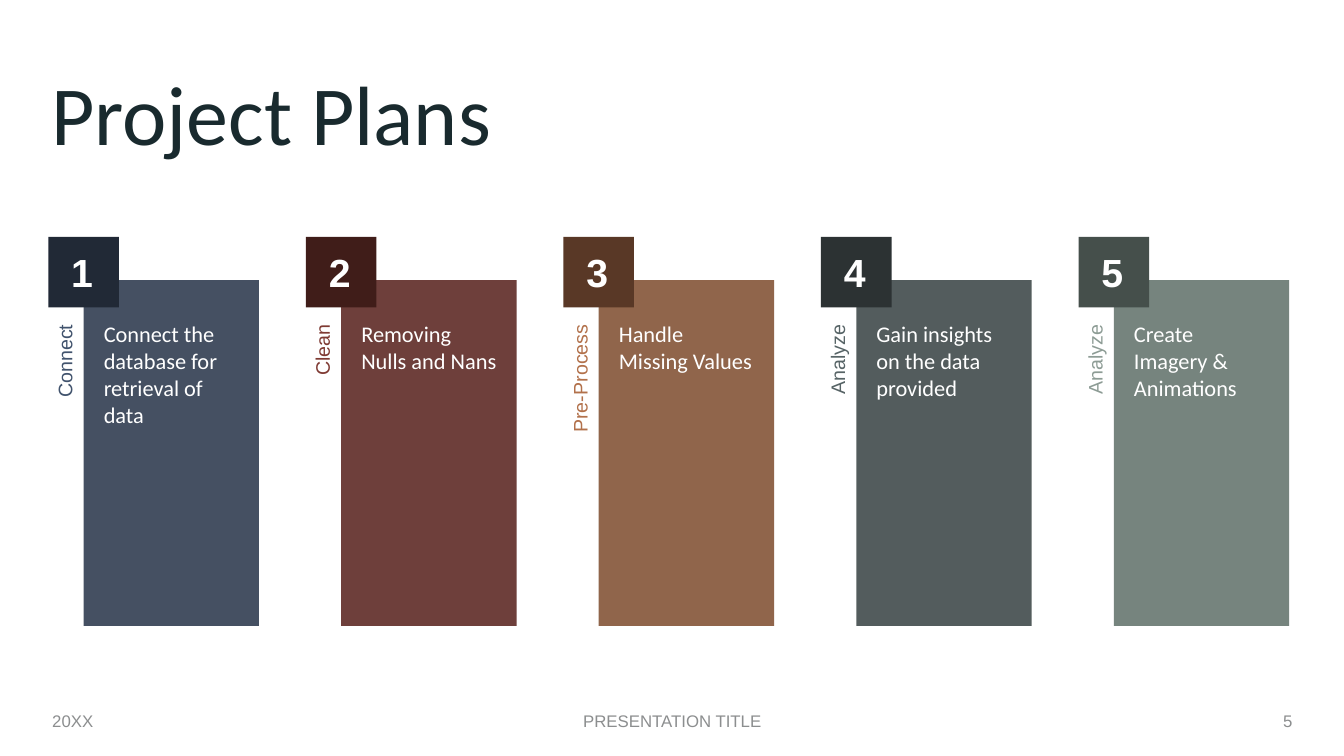
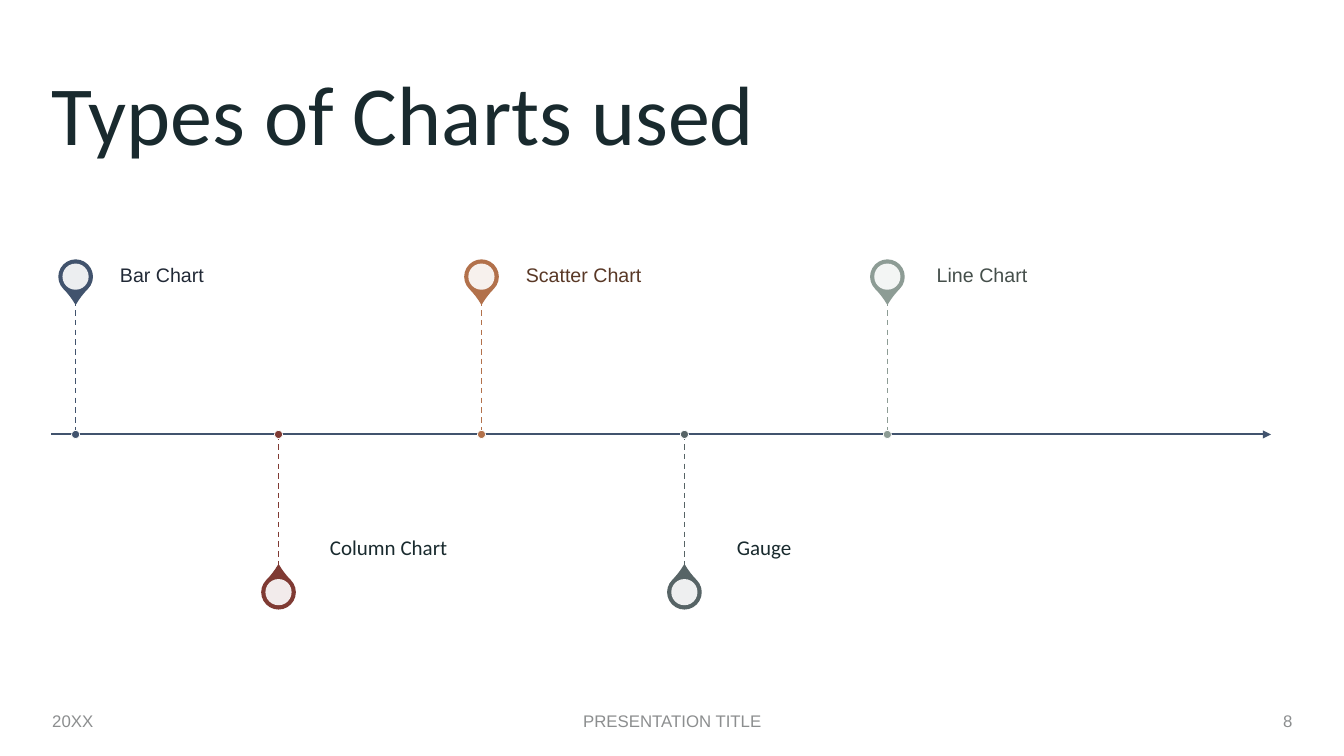
import lxml.etree
import pptx
import pptx.dml.color
import pptx.enum.dml
import pptx.enum.shapes
import pptx.enum.text
import pptx.oxml.ns
import pptx.util

COLUMNS, ROWS = 133.33, 75
CELL = pptx.util.Inches(0.1)

COLORS = {
    "title": "192A2E",
    "footer": "8C8E8F",
    "white": "FFFFFF",
    "navy": "41536D",
    "navy panel": "313E52",
    "navy dark": "212936",
    "red": "7F3A33",
    "red panel": "5F2B26",
    "red dark": "401D19",
    "copper": "B2714B",
    "copper panel": "855538",
    "copper dark": "593826",
    "slate": "576466",
    "slate panel": "414B4C",
    "slate dark": "2C3233",
    "sage": "8D9C95",
    "sage panel": "687770",
    "sage dark": "454F4B",
}

SHAPES = pptx.enum.shapes.MSO_SHAPE
ALIGN = pptx.enum.text.PP_ALIGN
ANCHOR = pptx.enum.text.MSO_ANCHOR

STEPS = [
    ("navy", "Connect", "Connect the database for retrieval of data"),
    ("red", "Clean", "Removing Nulls and Nans"),
    ("copper", "Pre-Process", "Handle Missing Values"),
    ("slate", "Analyze", "Gain insights on the data provided"),
    ("sage", "Analyze", "Create Imagery & Animations"),
]

CHART_TYPES = [
    ("navy", "Bar Chart", 4.4),
    ("red", "Column Chart", 5.1),
    ("copper", "Scatter Chart", 4.4),
    ("slate", "Gauge", 5.2),
    ("sage", "Line Chart", 4.9),
]


def cells(*counts):
    return [round(count * CELL) for count in counts]


def rgb(name):
    return pptx.dml.color.RGBColor.from_string(COLORS[name])


def add_tag(parent, tag, **attributes):
    return lxml.etree.SubElement(parent, pptx.oxml.ns.qn(tag), **attributes)


def write_text(page, text, box=None, shape=None, size=14, font="Arial", color="white",
               bold=False, align=ALIGN.LEFT, anchor=ANCHOR.TOP,
               insets=(1, 0.5, 1, 0.5), spacing=1.0, rotation=0):
    if shape is None:
        shape = page.shapes.add_textbox(*cells(*box))
        shape.rotation = rotation
    frame = shape.text_frame
    frame.word_wrap = True
    frame.vertical_anchor = anchor
    (frame.margin_left, frame.margin_top,
     frame.margin_right, frame.margin_bottom) = cells(*insets)
    para = frame.paragraphs[0]
    para.alignment = align
    para.line_spacing = spacing
    span = para.add_run()
    span.text = text
    span.font.size = pptx.util.Pt(size)
    span.font.name = font
    span.font.bold = bold
    span.font.color.rgb = rgb(color)


def draw_shape(page, kind, box, fill, line=None, width=1, opacity=100, rotation=0):
    shape = page.shapes.add_shape(kind, *cells(*box))
    shape.shadow.inherit = False
    shape.rotation = rotation
    shape.fill.solid()
    shape.fill.fore_color.rgb = rgb(fill)
    if opacity < 100:
        tint = shape.element.spPr.find(".//" + pptx.oxml.ns.qn("a:srgbClr"))
        add_tag(tint, "a:alpha", val=str(opacity * 1000))
    if line:
        shape.line.color.rgb = rgb(line)
        shape.line.width = pptx.util.Pt(width)
    else:
        shape.line.fill.background()
    return shape


def draw_circle(page, x, y, size, fill, **style):
    box = (x - size / 2, y - size / 2, size, size)
    return draw_shape(page, SHAPES.OVAL, box, fill, **style)


def draw_line(page, start, end, color, width=1, dashed=False, arrow=False):
    link = page.shapes.add_connector(
        pptx.enum.shapes.MSO_CONNECTOR.STRAIGHT, *cells(*start, *end))
    link.line.color.rgb = rgb(color)
    link.line.width = pptx.util.Pt(width)
    if dashed:
        link.line.dash_style = pptx.enum.dml.MSO_LINE.DASH
    if arrow:
        add_tag(link.line._get_or_add_ln(), "a:tailEnd", type="triangle")
    add_tag(link.element.spPr, "a:effectLst")


def add_page(deck, title, number):
    page = deck.slides.add_slide(deck.slide_layouts[6])
    write_text(page, title, (4.1, 6.7, 116.4, 14.8), size=60, font="Calibri",
               color="title", spacing=0.9)
    footers = [
        ("20XX", 4.2, 30, ALIGN.LEFT),
        ("PRESENTATION TITLE", 44.2, 45, ALIGN.CENTER),
        (str(number), 117.2, 12, ALIGN.RIGHT),
    ]
    for text, left, width, align in footers:
        write_text(page, text, (left, 69.5, width, 4), size=12, color="footer",
                   align=align, anchor=ANCHOR.MIDDLE)
    return page


def draw_step(page, box, number, color, label, detail):
    left, top, width, height = box
    badge = 7
    strip = badge / 2
    panel_top = top + 4.3
    panel_height = height - 4.3
    label_length = 37.1
    write_text(page, label,
               (left + (strip - label_length) / 2, top + 21.5, label_length, strip),
               color=color, align=ALIGN.RIGHT, anchor=ANCHOR.MIDDLE,
               insets=(0, 0, 4, 0), spacing=0.9, rotation=270)
    panel = draw_shape(page, SHAPES.RECTANGLE,
                       (left + strip, panel_top, width - strip, panel_height),
                       color + " panel", opacity=90)
    write_text(page, detail, shape=panel, size=16, font="Calibri", insets=(2, 4, 2, 2))
    square = draw_shape(page, SHAPES.RECTANGLE, (left, top, badge, badge),
                        color + " dark")
    write_text(page, str(number), shape=square, size=28, bold=True,
               align=ALIGN.CENTER, anchor=ANCHOR.MIDDLE, insets=(0, 0, 0.3, 0))


def draw_steps(page, box):
    left, top, width, height = box
    step_width = 20.9
    pitch = (width - step_width) / (len(STEPS) - 1)
    for index, step in enumerate(STEPS):
        draw_step(page, (left + index * pitch, top, step_width, height),
                  index + 1, *step)


def draw_marker(page, x, axis, above, color, label, gap):
    side = -1 if above else 1
    pin, stem = 3.3, 13.3
    pin_y = axis + side * 15.65
    drop = draw_shape(page, SHAPES.TEAR, (x - pin / 2, pin_y - pin / 2, pin, pin),
                      color, line=color, rotation=135 if above else 315)
    drop.adjustments[0] = 1.15
    draw_circle(page, x, pin_y, 2.6, "white", opacity=90)
    if above:
        write_text(page, label, (x + gap, pin_y - 2.35, 27, 4.7),
                   color=color + " dark", anchor=ANCHOR.MIDDLE,
                   insets=(0, 0, 1, 0), spacing=0.9)
    else:
        write_text(page, label, (x + gap, axis, 26, stem), size=15, font="Calibri",
                   color="title", anchor=ANCHOR.BOTTOM,
                   insets=(0, 1.6, 0, 1), spacing=0.9)
    near, far = sorted((axis, axis + side * stem))
    draw_line(page, (x, near), (x, far), color, dashed=True)
    draw_circle(page, x, axis, 0.8, color, line="white", width=0.5)


def draw_timeline(page, box):
    left, top, width, height = box
    axis = top + height / 2
    first, pitch = left + 2.4, width / 6.01
    draw_line(page, (left, axis), (left + width, axis), "navy", width=1.5, arrow=True)
    for index, chart_type in enumerate(CHART_TYPES):
        draw_marker(page, first + index * pitch, axis, index % 2 == 0, *chart_type)


def main():
    deck = pptx.Presentation()
    deck.slide_width, deck.slide_height = cells(COLUMNS, ROWS)
    draw_steps(add_page(deck, "Project Plans", 5), (4.8, 23.5, 123.1, 38.6))
    draw_timeline(add_page(deck, "Types of Charts used", 8), (5.1, 25.8, 121, 34.6))
    deck.save("out.pptx")


if __name__ == "__main__":
    main()
